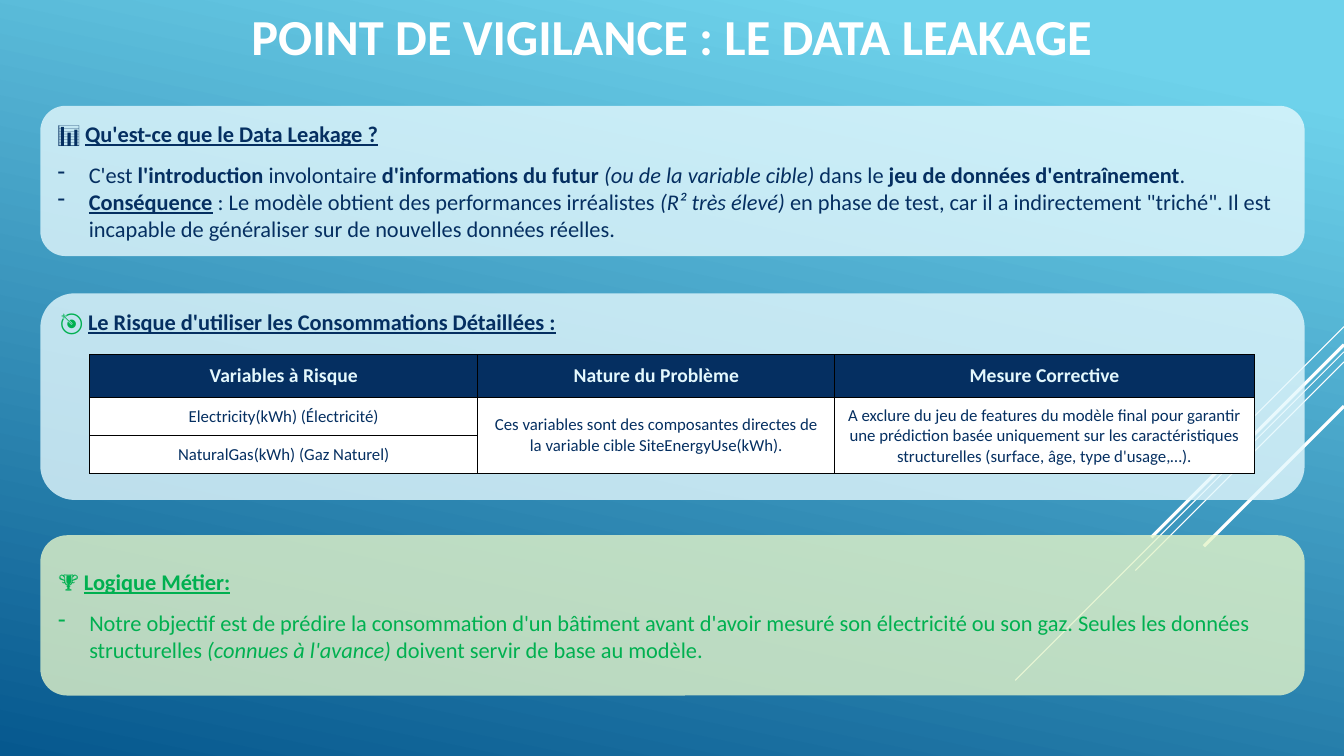
"""Builds the slide that warns about data leakage."""
from dataclasses import dataclass

from lxml import etree
from pptx import Presentation
from pptx.dml.color import RGBColor
from pptx.enum.shapes import MSO_CONNECTOR, MSO_SHAPE
from pptx.enum.text import MSO_ANCHOR, MSO_AUTO_SIZE, PP_ALIGN
from pptx.oxml.ns import qn
from pptx.util import Inches, Pt

STRAIGHT = MSO_CONNECTOR.STRAIGHT
ROUNDED = MSO_SHAPE.ROUNDED_RECTANGLE
TOP, MIDDLE = MSO_ANCHOR.TOP, MSO_ANCHOR.MIDDLE
LEFT, CENTER = PP_ALIGN.LEFT, PP_ALIGN.CENTER
FIT_SHAPE = MSO_AUTO_SIZE.SHAPE_TO_FIT_TEXT
TITLE_ONLY = 5


@dataclass(frozen=True)
class Theme:
    """Colours, font and type sizes of the slide."""
    font: str = "Calibri"
    sky: str = "6ED2EB"
    ocean: str = "06588E"
    navy: str = "052F61"
    green: str = "00B050"
    ice: str = "E4F8FD"
    lime: str = "E3F4C9"
    white: str = "FFFFFF"
    black: str = "000000"
    title: int = 36
    body: int = 16
    table_head: int = 14
    table_body: int = 12
    heading_gap: int = 10


THEME = Theme()
PANEL_LEFT, PANEL_WIDTH = 0.4, 12.54
PANEL_ALPHA = 80
BULLET_INDENT = 0.31
SLIDE_WIDTH = 13.33

STREAKS = [
    (3.24, 1.0, 0.75),
    (3.49, 3.26, 0.75),
    (3.59, 2.07, 0.75),
    (3.42, 1.91, 2.25),
    (4.03, 1.39, 2.25),
]

DEFINITION = [
    [("C'est ", ""), ("l'introduction", "b"), (" involontaire ", ""),
     ("d'informations du futur ", "b"), ("(ou de la variable cible) ", "i"),
     ("dans le ", ""), ("jeu de données d'entraînement", "b"), (".", "")],
    [("Conséquence", "bu"),
     (" : Le modèle obtient des performances irréalistes ", ""),
     ("(R² très élevé) ", "i"),
     ("en phase de test, car il a indirectement \"triché\". Il est "
      "incapable de généraliser sur de nouvelles données réelles.", "")],
]
BUSINESS_LOGIC = [
    [("Notre objectif est de prédire la consommation d'un bâtiment avant "
      "d'avoir mesuré son électricité ou son gaz. Seules les données "
      "structurelles ", ""),
     ("(connues à l'avance) ", "i"),
     ("doivent servir de base au modèle.", "")],
]
RISK_ROWS = [
    ["Variables à Risque", "Nature du Problème", "Mesure Corrective"],
    ["Electricity(kWh) (Électricité)",
     "Ces variables sont des composantes directes de la variable cible "
     "SiteEnergyUse(kWh).",
     "A exclure du jeu de features du modèle final pour garantir une "
     "prédiction basée uniquement sur les caractéristiques structurelles "
     "(surface, âge, type d'usage,…)."],
    ["NaturalGas(kWh) (Gaz Naturel)", "", ""],
]
RISK_COLUMNS = [3.85, 3.54, 4.16]
RISK_HEIGHTS = [0.42, 0.38, 0.38]


def rgb(code):
    """Return the colour for a hex code."""
    return RGBColor.from_string(code)


def style_font(font, size, color, marks=""):
    """Format a font; marks holds b, i and u for bold, italic, underline."""
    font.name = THEME.font
    font.size = Pt(size)
    font.color.rgb = rgb(color)
    font.bold = "b" in marks
    font.italic = "i" in marks
    font.underline = "u" in marks


def add_runs(paragraph, runs):
    """Fill a paragraph with (text, marks, colour) runs of body size."""
    paragraph.alignment = LEFT
    for text, marks, color in runs:
        run = paragraph.add_run()
        run.text = text
        style_font(run.font, THEME.body, color, marks)


def add_dash(paragraph):
    """Give a paragraph a hanging dash bullet."""
    properties = paragraph._p.get_or_add_pPr()
    indent = Inches(BULLET_INDENT)
    properties.set("marL", str(indent))
    properties.set("indent", str(-indent))
    etree.SubElement(properties, qn("a:buFontTx"))
    etree.SubElement(properties, qn("a:buChar"), char="-")


def paint_background(slide):
    """Fill the slide with the blue gradient."""
    fill = slide.background.fill
    fill.gradient()
    fill.gradient_angle = 360 - 102
    stops = ((0.1, THEME.sky), (1.0, THEME.ocean))
    for stop, (position, color) in zip(fill.gradient_stops, stops):
        stop.position = position
        stop.color.rgb = rgb(color)


def add_streak(slide, top, reach, weight):
    """Draw a diagonal line from the right edge down to the left."""
    streak = slide.shapes.add_connector(
        STRAIGHT, Inches(SLIDE_WIDTH), Inches(top),
        Inches(SLIDE_WIDTH - reach), Inches(top + reach))
    streak.line.color.rgb = rgb(THEME.white)
    streak.line.width = Pt(weight)
    etree.SubElement(streak._element.spPr, qn("a:effectLst"))


def set_title(slide, text):
    """Place and format the title."""
    title = slide.shapes.title
    title.left, title.top = Inches(2.35), Inches(0)
    title.width, title.height = Inches(8.63), Inches(0.71)
    frame = title.text_frame
    frame.text = text
    frame.word_wrap = False
    frame.auto_size = FIT_SHAPE
    frame.vertical_anchor = TOP
    style_font(frame.paragraphs[0].runs[0].font, THEME.title, THEME.white, "b")


def add_panel(slide, top, height, fill, icon, heading, colors, bullets=()):
    """Add a translucent panel; colors are those of the icon and the text."""
    panel = slide.shapes.add_shape(
        ROUNDED, Inches(PANEL_LEFT), Inches(top),
        Inches(PANEL_WIDTH), Inches(height))
    panel.shadow.inherit = False
    panel.line.fill.background()
    panel.fill.solid()
    panel.fill.fore_color.rgb = rgb(fill)
    tint = panel._element.spPr.find(qn("a:solidFill"))[0]
    etree.SubElement(tint, qn("a:alpha"), val=str(PANEL_ALPHA * 1000))
    frame = panel.text_frame
    frame.word_wrap = True
    frame.vertical_anchor = MIDDLE if bullets else TOP
    icon_color, text_color = colors
    add_runs(frame.paragraphs[0],
             [(icon + " ", "b", icon_color), (heading, "bu", text_color)])
    for index, bullet in enumerate(bullets):
        paragraph = frame.add_paragraph()
        paragraph.space_before = Pt(0 if index else THEME.heading_gap)
        add_dash(paragraph)
        add_runs(paragraph,
                 [(text, marks, text_color) for text, marks in bullet])


def add_borders(cell):
    """Draw thin black lines on the four sides of a cell."""
    properties = cell._tc.get_or_add_tcPr()
    for index, side in enumerate(("a:lnL", "a:lnR", "a:lnT", "a:lnB")):
        border = etree.Element(qn(side), w=str(Pt(0.75)))
        solid = etree.SubElement(border, qn("a:solidFill"))
        etree.SubElement(solid, qn("a:srgbClr"), val=THEME.black)
        properties.insert(index, border)


def fill_cell(cell, text, is_head):
    """Write and format one cell of the risk table."""
    cell.fill.solid()
    cell.fill.fore_color.rgb = rgb(THEME.navy if is_head else THEME.white)
    cell.vertical_anchor = MIDDLE
    cell.margin_left = cell.margin_right = Inches(0.12)
    cell.margin_top = cell.margin_bottom = Inches(0.08)
    add_borders(cell)
    cell.text_frame.text = text
    paragraph = cell.text_frame.paragraphs[0]
    paragraph.alignment = CENTER
    if is_head:
        style_font(paragraph.font, THEME.table_head, THEME.ice, "b")
    else:
        style_font(paragraph.font, THEME.table_body, THEME.navy)
    for run in paragraph.runs:
        style_font(run.font, THEME.table_head if is_head else THEME.table_body,
                   THEME.ice if is_head else THEME.navy, "b" if is_head else "")


def add_risk_table(slide):
    """Add the table of risky variables."""
    table = slide.shapes.add_table(
        len(RISK_ROWS), len(RISK_COLUMNS), Inches(0.89), Inches(3.52),
        Inches(sum(RISK_COLUMNS)), Inches(sum(RISK_HEIGHTS))).table
    table.horz_banding = False
    for column, width in zip(table.columns, RISK_COLUMNS):
        column.width = Inches(width)
    for r, (height, texts) in enumerate(zip(RISK_HEIGHTS, RISK_ROWS)):
        table.rows[r].height = Inches(height)
        for c, text in enumerate(texts):
            fill_cell(table.cell(r, c), text, r == 0)
    for c in (1, 2):
        table.cell(1, c).merge(table.cell(2, c))


def main():
    """Build and save the slide."""
    deck = Presentation()
    deck.slide_width, deck.slide_height = Inches(SLIDE_WIDTH), Inches(7.5)
    slide = deck.slides.add_slide(deck.slide_layouts[TITLE_ONLY])
    paint_background(slide)
    for streak in STREAKS:
        add_streak(slide, *streak)
    set_title(slide, "POINT DE VIGILANCE : LE DATA LEAKAGE")
    add_panel(slide, 1.05, 1.49, THEME.ice, "📊",
              "Qu'est-ce que le Data Leakage ?",
              (THEME.navy, THEME.navy), DEFINITION)
    add_panel(slide, 2.91, 2.05, THEME.ice, "🎯",
              "Le Risque d'utiliser les Consommations Détaillées :",
              (THEME.green, THEME.navy))
    add_risk_table(slide)
    add_panel(slide, 5.31, 1.59, THEME.lime, "🏆", "Logique Métier:",
              (THEME.green, THEME.green), BUSINESS_LOGIC)
    deck.save("out.pptx")


if __name__ == "__main__":
    main()
